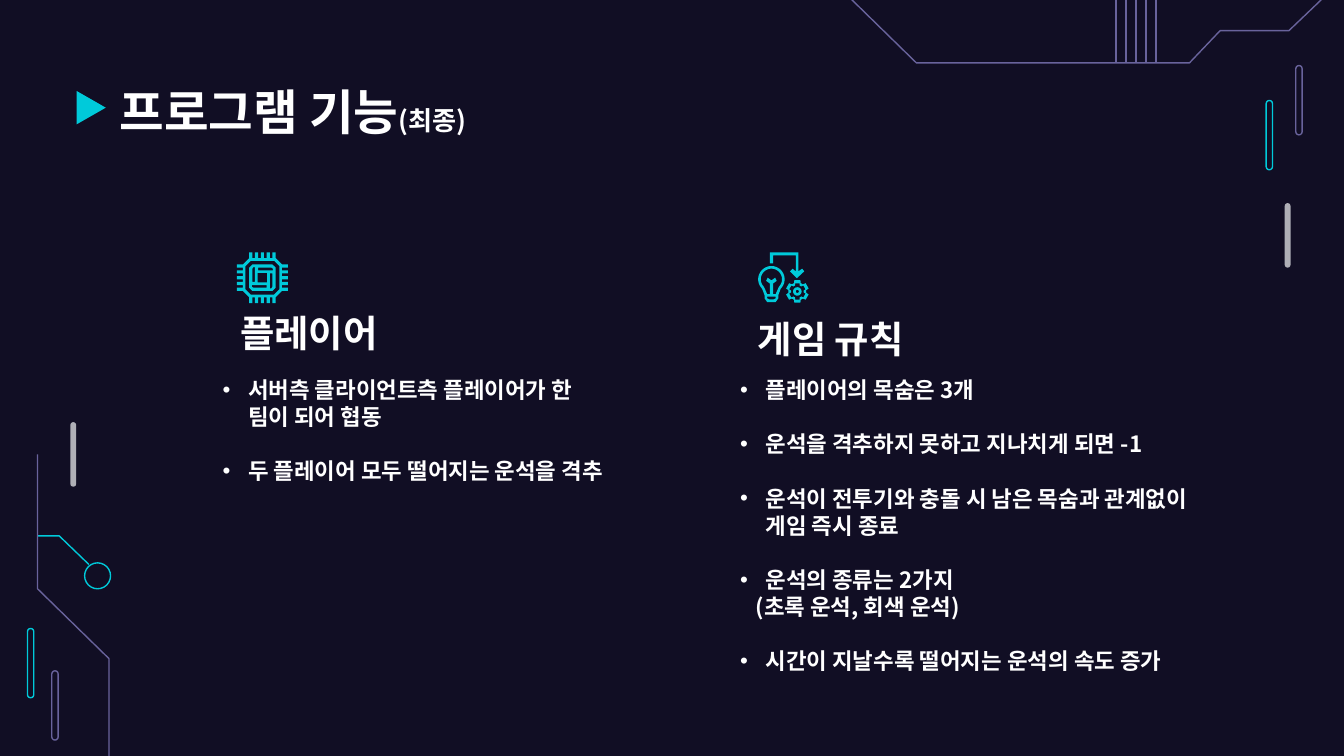
from dataclasses import dataclass
from math import cos, radians, sin

from lxml import etree
from pptx import Presentation
from pptx.dml.color import RGBColor
from pptx.enum.shapes import MSO_CONNECTOR, MSO_SHAPE
from pptx.enum.text import MSO_ANCHOR
from pptx.oxml.ns import qn
from pptx.util import Cm, Pt

STRAIGHT = MSO_CONNECTOR.STRAIGHT
PILL, CIRCLE, MERGE = MSO_SHAPE.ROUNDED_RECTANGLE, MSO_SHAPE.OVAL, MSO_SHAPE.FLOWCHART_MERGE
TOP, BOTTOM = MSO_ANCHOR.TOP, MSO_ANCHOR.BOTTOM

Point = tuple[float, float]
Contour = list[Point]


@dataclass(frozen=True)
class Theme:
    background: str = "110E24"
    cyan: str = "00CADA"
    purple: str = "69639C"
    grey: str = "AFAFB6"
    text: str = "FFFFFF"
    font: str = "Noto Sans CJK KR"
    title: float = 26
    note: float = 14
    heading: float = 20
    body: float = 12
    body_leading: float = 14.5
    line: float = 0.75


@dataclass(frozen=True)
class Line:
    """One paragraph: runs of (text, size), line pitch and indents."""
    runs: list[tuple[str, float]]
    leading: float
    bullet: bool = False
    gap: float = 0
    margin: float = 0


@dataclass(frozen=True)
class TextArea:
    place: tuple[float, float, float, float]
    lines: list[Line]
    anchor: MSO_ANCHOR = TOP


THEME = Theme()


def colour(value: str) -> RGBColor:
    return RGBColor.from_string(value)


def paint(shape, fill: str | None = None, line: str | None = None) -> None:
    shape.shadow.inherit = False
    if fill:
        shape.fill.solid()
        shape.fill.fore_color.rgb = colour(fill)
    else:
        shape.fill.background()
    if line:
        shape.line.color.rgb = colour(line)
        shape.line.width = Pt(THEME.line)
    else:
        shape.line.fill.background()


def add_preset(page, kind, place, fill: str | None = None, line: str | None = None):
    shape = page.shapes.add_shape(kind, *map(Cm, place))
    paint(shape, fill, line)
    return shape


def add_outline(page, contours: list[Contour], centre: Point = (0, 0), close: bool = True,
                fill: str | None = None, line: str | None = None) -> None:
    paths = [[(Cm(centre[0] + x), Cm(centre[1] + y)) for x, y in contour] for contour in contours]
    builder = page.shapes.build_freeform(*paths[0][0], scale=1.0)
    for index, points in enumerate(paths):
        if index:
            builder.move_to(*points[0])
        builder.add_line_segments(points[1:], close=close)
    paint(builder.convert_to_shape(), fill, line)


def add_wire(page, x: float, top: float, bottom: float) -> None:
    wire = page.shapes.add_connector(STRAIGHT, Cm(x), Cm(bottom), Cm(x), Cm(top))
    wire.line.color.rgb = colour(THEME.purple)
    wire.line.width = Pt(THEME.line)
    etree.SubElement(wire._element.spPr, qn("a:effectLst"))


# Rules for icon outlines, in centimetres around the icon centre
def arc(radius: float, start: float, end: float, steps: int = 24) -> Contour:
    angles = [radians(start + (end - start) * i / steps) for i in range(steps + 1)]
    return [(radius * cos(angle), radius * sin(angle)) for angle in angles]


def quarter_turns(side: Contour) -> list[Contour]:
    turns = [side]
    for _ in range(3):
        turns.append([(-y, x) for x, y in turns[-1]])
    return turns


def four_sided(side: Contour) -> Contour:
    return [point for turn in quarter_turns(side) for point in turn]


def hole(contour: Contour) -> Contour:
    return contour[::-1]


def mirrored(half: Contour) -> Contour:
    return half + [(-x, y) for x, y in reversed(half)]


def gear(root: float, tip: float) -> Contour:
    teeth = [(root, -22), (tip, -15), (tip, 15), (root, 22)]
    return [arc(radius, 60 * k - 90 + turn, 0, 1)[0] for k in range(6) for radius, turn in teeth]


def add_chip_icon(page, centre: Point) -> None:
    pins = [(0.11 * i + dx, y) for i in range(-2, 3)
            for dx, y in [(-0.03, -0.37), (-0.03, -0.48), (0.03, -0.48), (0.03, -0.37)]]
    slot = [(-0.08, -0.19), (0.17, -0.19), (0.2, -0.17), (0.2, -0.14), (-0.08, -0.14)]
    window = four_sided([(-0.09, -0.09)])
    core = [four_sided([(-0.19, -0.25), (0.19, -0.25)]), hole(window)]
    core += [hole(turn) for turn in quarter_turns(slot)]
    body = [four_sided(pins), hole(four_sided([(-0.22, -0.32), (0.22, -0.32)]))]
    for contours in (core, body):
        add_outline(page, contours, centre, fill=THEME.cyan)


def add_idea_icon(page, bulb_centre: Point, gear_centre: Point) -> None:
    glass = arc(0.25, -90, 45) + [(0.13, 0.3), (0.13, 0.36), (0.08, 0.43)]
    inside = arc(0.2, -90, 45) + [(0.08, 0.28), (0.03, 0.28), (0.03, 0.08),
                                  (0.1, 0.03), (0.07, -0.03), (0, 0.02)]
    base = [(0.08, 0.33), (0.08, 0.36), (0.04, 0.38)]
    bulb = [mirrored(glass), hole(mirrored(inside)), hole(mirrored(base))]
    wheel = [gear(0.17, 0.22), hole(gear(0.12, 0.16))]
    hub = [arc(0.08, 0, 360), hole(arc(0.03, 0, 360))]
    arrow = [[(-0.03, -0.3), (-0.03, -0.51), (0.51, -0.51), (0.51, -0.15), (0.58, -0.2),
              (0.62, -0.15), (0.48, -0.02), (0.35, -0.15), (0.4, -0.2), (0.46, -0.15),
              (0.46, -0.45), (0.03, -0.45), (0.03, -0.3)]]
    for contours, centre in [(bulb, bulb_centre), (wheel, gear_centre),
                             (hub, gear_centre), (arrow, bulb_centre)]:
        add_outline(page, contours, centre, fill=THEME.cyan)


def add_text(page, area: TextArea) -> None:
    frame = page.shapes.add_textbox(*map(Cm, area.place)).text_frame
    frame_format = {"word_wrap": True, "vertical_anchor": area.anchor}
    frame_format |= {f"margin_{side}": Cm(0.25) for side in ("left", "right", "top", "bottom")}
    for name, value in frame_format.items():
        setattr(frame, name, value)
    for index, line in enumerate(area.lines):
        para = frame.add_paragraph() if index else frame.paragraphs[0]
        properties = para._p.get_or_add_pPr()
        properties.set("marL", str(Cm(line.margin)))
        properties.set("indent", str(-Cm(line.margin) if line.bullet else 0))
        if line.bullet:
            bullet_colour = etree.SubElement(properties, qn("a:buClr"))
            etree.SubElement(bullet_colour, qn("a:srgbClr"), val=THEME.text)
            etree.SubElement(properties, qn("a:buFont"), typeface="Arial")
            etree.SubElement(properties, qn("a:buChar"), char="•")
        para.line_spacing, para.space_before = Pt(line.leading), Pt(line.gap)
        for text, size in line.runs:
            span = para.add_run()
            span.text = text
            span.font.color.rgb = colour(THEME.text)
            for name, value in {"name": THEME.font, "size": Pt(size), "bold": True}.items():
                setattr(span.font, name, value)
            etree.SubElement(span._r.get_or_add_rPr(), qn("a:ea"), typeface=THEME.font)


def heading(text: str, left: float, top: float) -> TextArea:
    return TextArea((left, top, 6.27, 1.35), [Line([(text, THEME.heading)], 24)], BOTTOM)


def item(text: str, first: bool = False) -> Line:
    gap = 0 if first else THEME.body_leading
    return Line([(text, THEME.body)], THEME.body_leading, True, gap, 0.48)


TEXTS = [
    TextArea((2.01, 1.24, 21.41, 1.6),
             [Line([("프로그램 기능", THEME.title), ("(최종)", THEME.note)], 33)]),
    heading("플레이어", 4.29, 5.61),
    heading("게임 규칙", 14.07, 5.72),
    TextArea((3.96, 6.86, 7.7, 4.17), [
        item("서버측 클라이언트측 플레이어가 한 팀이 되어 협동", first=True),
        item("두 플레이어 모두 떨어지는 운석을 격추")]),
    TextArea((13.74, 6.86, 9.45, 6.1), [
        item("플레이어의 목숨은 3개", first=True),
        item("운석을 격추하지 못하고 지나치게 되면 -1"),
        item("운석이 전투기와 충돌 시 남은 목숨과 관계없이 게임 즉시 종료"),
        item("운석의 종류는 2가지"),
        Line([("(초록 운석, 회색 운석)", THEME.body)], THEME.body_leading, margin=0.29),
        item("시간이 지날수록 떨어지는 운석의 속도 증가")]),
]


def main() -> None:
    deck = Presentation()
    deck.slide_width, deck.slide_height = Cm(25.4), Cm(14.29)
    page = deck.slides.add_slide(deck.slide_layouts[6])
    page.background.fill.solid()
    page.background.fill.fore_color.rgb = colour(THEME.background)

    # Pills and bars at the edges
    for left, top, line in [(23.93, 1.9, THEME.cyan), (24.49, 1.24, THEME.purple),
                            (0.52, 11.88, THEME.cyan), (0.98, 12.68, THEME.purple)]:
        add_preset(page, PILL, (left, top, 0.12, 1.31), line=line).adjustments[0] = 0.5
    for left, top in [(24.28, 3.84), (1.33, 7.98)]:
        add_preset(page, PILL, (left, top, 0.11, 1.22), fill=THEME.grey).adjustments[0] = 0.5

    # Circuit traces
    for index in range(5):
        add_wire(page, 21.09 + 0.19 * index, -1.47, 1.19)
    for points, line in [
        ([(15.95, -0.15), (17.32, 1.19), (22.48, 1.19), (23.06, 0.58), (24.36, 0.58),
          (25.02, -0.05)], THEME.purple),
        ([(1.68, 10.67), (1.12, 10.13), (0.71, 10.13)], THEME.cyan),
        ([(0.71, 8.59), (0.71, 11.13), (2.06, 12.45), (2.06, 15.04)], THEME.purple),
    ]:
        add_outline(page, [points], close=False, line=line)
    add_preset(page, CIRCLE, (1.6, 10.64, 0.49, 0.49), line=THEME.cyan)

    # Title marker, texts and icons
    add_preset(page, MERGE, (1.41, 1.76, 0.63, 0.55), fill=THEME.cyan).rotation = 270
    for area in TEXTS:
        add_text(page, area)
    add_idea_icon(page, (14.58, 5.28), (15.07, 5.51))
    add_chip_icon(page, (4.96, 5.25))
    deck.save("out.pptx")


if __name__ == "__main__":
    main()
